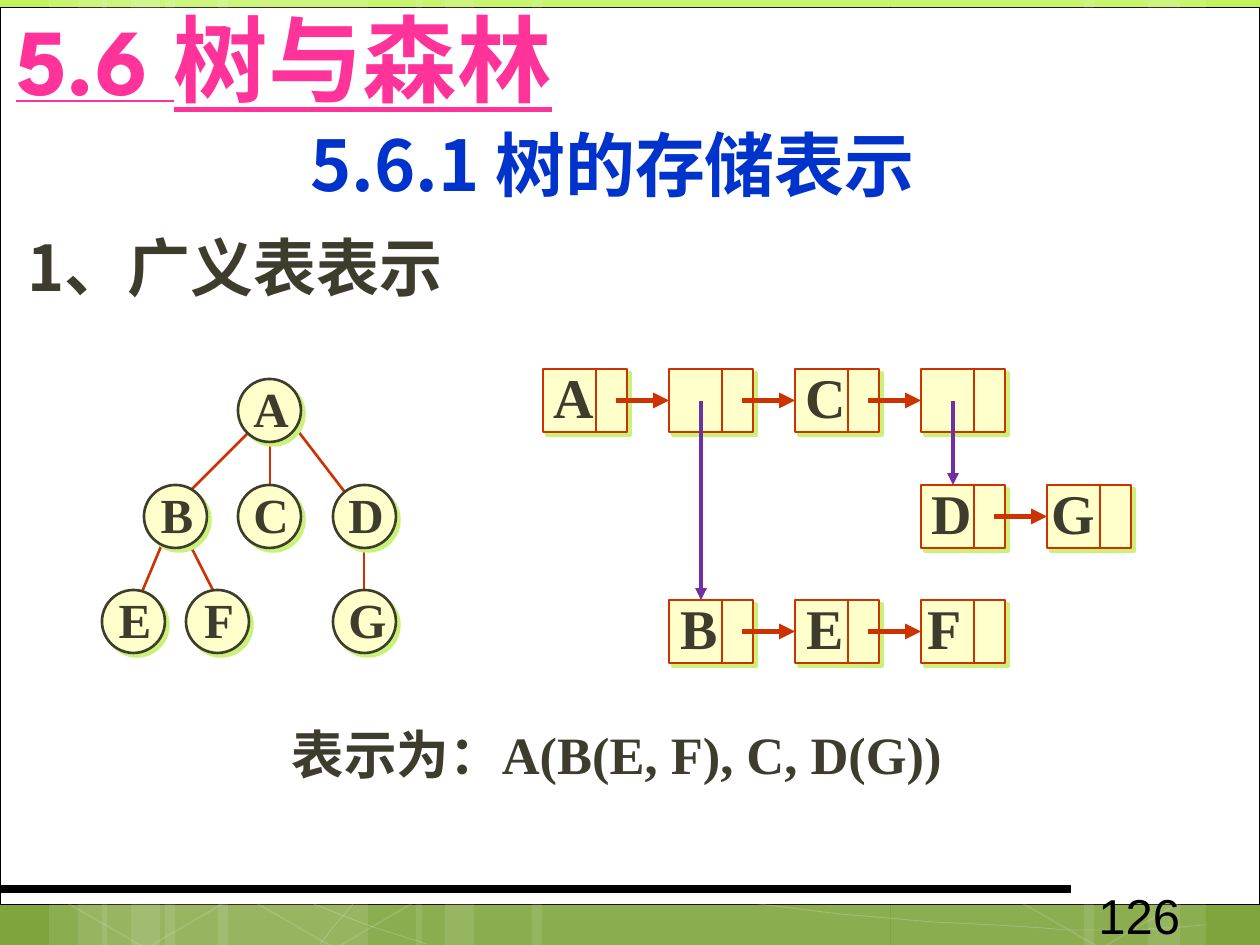
from copy import deepcopy
from pptx import Presentation
from pptx import util as u
from pptx.dml.color import RGBColor
from pptx.enum import shapes as sh, text as tx
from pptx.oxml.ns import qn
from pptx.oxml.xmlchemy import OxmlElement

SCALE = u.Inches(1) / 126
WHITE = RGBColor(255, 255, 255)
BLACK = RGBColor(0, 0, 0)
INK = RGBColor(0x3E, 0x3D, 0x2D)
PINK = RGBColor(0xFF, 0x33, 0x99)
BLUE = RGBColor(0x00, 0x33, 0xCC)
RED = RGBColor(0xCC, 0x33, 0x00)
PURPLE = RGBColor(0x70, 0x30, 0xA0)
CREAM = RGBColor(0xFF, 0xFF, 0xCC)
LIME = RGBColor(0xCA, 0xF2, 0x78)
STOPS = [(0, RGBColor(0xC2, 0xF3, 0x5F)), (0.62, RGBColor(0x92, 0xBE, 0x3F)),
         (1, RGBColor(0x80, 0xA3, 0x3D))]
CJK, SERIF = "Noto Sans CJK JP", "Times New Roman"

# Backdrop: left and width of each bar, then the points of each curve
BARS = [(165, 203), (49, 58), (78, 97), (218, 204), (102, 58), (131, 97),
        (891, 203), (1148, 58), (1084, 96), (532, 358), (416, 58), (445, 97)]
CURVES = [
    [(45, 777), (185, 847), (325, 916), (427, 944)],
    [(47, 728), (83, 742), (120, 756), (188, 776), (255, 795), (355, 827),
     (452, 848), (549, 869), (672, 892), (767, 905), (863, 919), (966, 924),
     (1028, 927), (1089, 932), (1105, 930), (1135, 930), (1164, 929),
     (1186, 926), (1207, 925)],
    [(320, 944), (340, 919), (360, 893), (389, 871), (417, 847), (456, 823),
     (489, 805)],
]
HEXES = [52, 241, 1007]

# Tree: circle corners by letter, then the edges
SIZE = 63
TREE = {"A": (238, 379), "B": (144, 485), "C": (238, 485), "D": (333, 485),
        "E": (102, 590), "F": (186, 590), "G": (333, 590)}
EDGES = [(364, 537, 364, 611), (291, 422, 364, 517), (186, 537, 218, 600),
         (165, 537, 134, 611), (249, 432, 186, 495), (270, 432, 270, 495)]

# Linked list: letter, column, row, label shift
LEFT, STEP, ROWS = 543, 126, (369, 485, 600)
NODES = [("A", 0, 0, 0), ("", 1, 0, 0), ("C", 2, 0, 0), ("", 3, 0, 0),
         ("D", 3, 1, 0), ("G", 4, 1, -6),
         ("B", 1, 2, 0), ("E", 2, 2, 0), ("F", 3, 2, -6)]
DROPS = [(1, 2), (3, 1)]


def px(*vals):
    return [u.Emu(round(v * SCALE)) for v in vals]


def fade(fill, part):
    """Set the opacity of a solid fill, in percent."""
    tint = OxmlElement("a:alpha")
    tint.set("val", str(part * 1000))
    next(fill.iter(qn("a:srgbClr"))).append(tint)


def shade(shape):
    """Add a hard shadow down and to the right."""
    cast = OxmlElement("a:outerShdw")
    for key, val in (("dist", u.Pt(2.8)), ("dir", 45 * 60000), ("algn", "ctr"),
                     ("rotWithShape", 0)):
        cast.set(key, str(int(val)) if key != "algn" else val)
    tone = OxmlElement("a:srgbClr")
    tone.set("val", str(LIME))
    cast.append(tone)
    shape._element.spPr.find(qn("a:effectLst")).append(cast)


def style(shape, fill, line, width):
    shape.shadow.inherit = False
    if fill is None:
        shape.fill.background()
    else:
        shape.fill.solid()
        shape.fill.fore_color.rgb = fill
    if line is None:
        shape.line.fill.background()
    else:
        shape.line.color.rgb = line
        shape.line.width = u.Pt(width)
    return shape


def block(slide, kind, box, fill=None, line=None, width=1.5):
    return style(slide.shapes.add_shape(kind, *px(*box)), fill, line, width)


def wire(slide, ends, color, width, arrow=False):
    line = slide.shapes.add_connector(sh.MSO_CONNECTOR.STRAIGHT, *px(*ends))
    line.line.color.rgb = color
    line.line.width = u.Pt(width)
    if arrow:
        tip = OxmlElement("a:tailEnd")
        tip.set("type", "triangle")
        line.line._get_or_add_ln().append(tip)
    line._element.spPr.append(OxmlElement("a:effectLst"))
    return line


def write(slide, box, words, size, color, font, bold=True, center=False,
          wrap=True, middle=False, inset=True, under=False):
    frame = slide.shapes.add_textbox(*px(*box)).text_frame
    frame.word_wrap = wrap
    if middle:
        frame.vertical_anchor = tx.MSO_ANCHOR.MIDDLE
    if not inset:
        frame.margin_left = frame.margin_right = 0
        frame.margin_top = frame.margin_bottom = 0
    para = frame.paragraphs[0]
    para.alignment = tx.PP_ALIGN.CENTER if center else tx.PP_ALIGN.LEFT
    run = para.add_run()
    run.text = words
    face = run.font
    face.name, face.size, face.bold = font, u.Pt(size), bold
    face.color.rgb = color
    if under:
        face.underline = True
    east = OxmlElement("a:ea")
    east.set("typeface", CJK)
    run._r.rPr.find(qn("a:latin")).addnext(east)


def mark(slide, box, letter, size):
    write(slide, box, letter, size, INK, SERIF, center=True, wrap=False,
          middle=True)


def curve(slide, pts):
    """Trace joined cubic curves by short steps."""
    spots = []
    for i in range(0, len(pts) - 1, 3):
        for t in (k / 12 for k in range(1, 13)):
            part = ((1 - t) ** 3, 3 * t * (1 - t) ** 2,
                    3 * t * t * (1 - t), t ** 3)
            spots.append([sum(w * p[d] for w, p in zip(part, pts[i:i + 4]))
                          for d in (0, 1)])
    pen = slide.shapes.build_freeform(*pts[0], scale=SCALE)
    pen.add_line_segments(spots, close=False)
    trace = style(pen.convert_to_shape(), None, WHITE, 0.5)
    fade(trace.line._get_or_add_ln(), 20)


def base(slide):
    fill = slide.background.fill
    fill.gradient()
    fill.gradient_angle = 270
    stops = next(slide.element.iter(qn("a:gsLst")))
    stops.insert(1, deepcopy(stops[0]))
    for stop, (pos, color) in zip(fill.gradient_stops, STOPS):
        stop.position, stop.color.rgb = pos, color
    rect = sh.MSO_SHAPE.RECTANGLE
    block(slide, rect, (0, 8, 1260, 897), WHITE, BLACK, 0.5)
    for x, w in BARS:
        bar = block(slide, rect, (x, 0, w, 945), WHITE)
        fade(bar._element.spPr, 10)
    for pts in CURVES:
        curve(slide, pts)
    for x in HEXES:
        cell = block(slide, sh.MSO_SHAPE.HEXAGON, (x, 746, 203, 192),
                     line=WHITE, width=1)
        cell.rotation = 30
        cell.adjustments[0] = 0.285
        fade(cell.line._get_or_add_ln(), 12)
    wire(slide, (0, 889, 1071, 889), BLACK, 4.5)


def tree(slide):
    for ends in EDGES:
        wire(slide, ends, RED, 1.5)
    for x, y in TREE.values():
        shade(block(slide, sh.MSO_SHAPE.OVAL, (x, y, SIZE, SIZE), CREAM, INK))
    for name, (x, y) in TREE.items():
        mark(slide, (x + 3, y - 7, 60, 72), name, 28)


def chain(slide):
    made = {}
    for name, col, row, shift in NODES:
        x, y = LEFT + STEP * col, ROWS[row]
        node = block(slide, sh.MSO_SHAPE.RECTANGLE, (x, y, 84, SIZE), CREAM, RED)
        shade(node)
        made[col, row] = node
        wire(slide, (x + 53, y, x + 53, y + SIZE), RED, 1.5)
    # Arrows to the next node in the row
    for (col, row), node in made.items():
        if (col - 1, row) in made:
            x, y = LEFT + STEP * col, ROWS[row] + SIZE / 2
            link = wire(slide, (x - 53, y, x, y), RED, 3, True)
            link.end_connect(node, 1)
    # Arrows down to the sublists
    for col, row in DROPS:
        x = LEFT + STEP * col + 32
        wire(slide, (x, ROWS[0] + 32, x, ROWS[row]), PURPLE, 2.25, True)
    for name, col, row, shift in NODES:
        if name:
            x, y = LEFT + STEP * col + shift, ROWS[row]
            mark(slide, (x - 2, y - 12, 64, 79), name, 32)


def main():
    deck = Presentation()
    deck.slide_width, deck.slide_height = px(1260, 945)
    slide = deck.slides.add_slide(deck.slide_layouts[6])
    base(slide)
    # Headings and page number
    write(slide, (16, 0, 848, 115), "5.6 树与森林", 54, PINK, "League Spartan",
          middle=True, inset=False, under=True)
    write(slide, (1086, 879, 184, 50), "126", 28, BLACK, "Arial", bold=False)
    write(slide, (203, 115, 819, 97), "5.6.1 树的存储表示", 40, BLUE, CJK,
          center=True)
    write(slide, (15, 222, 819, 88), "1、广义表表示", 36, INK, CJK)
    # Diagrams and their notation
    tree(slide)
    chain(slide)
    write(slide, (66, 716, 1102, 76), "表示为：A(B(E, F), C, D(G))", 30, INK,
          SERIF, center=True)
    deck.save("out.pptx")


if __name__ == "__main__":
    main()
